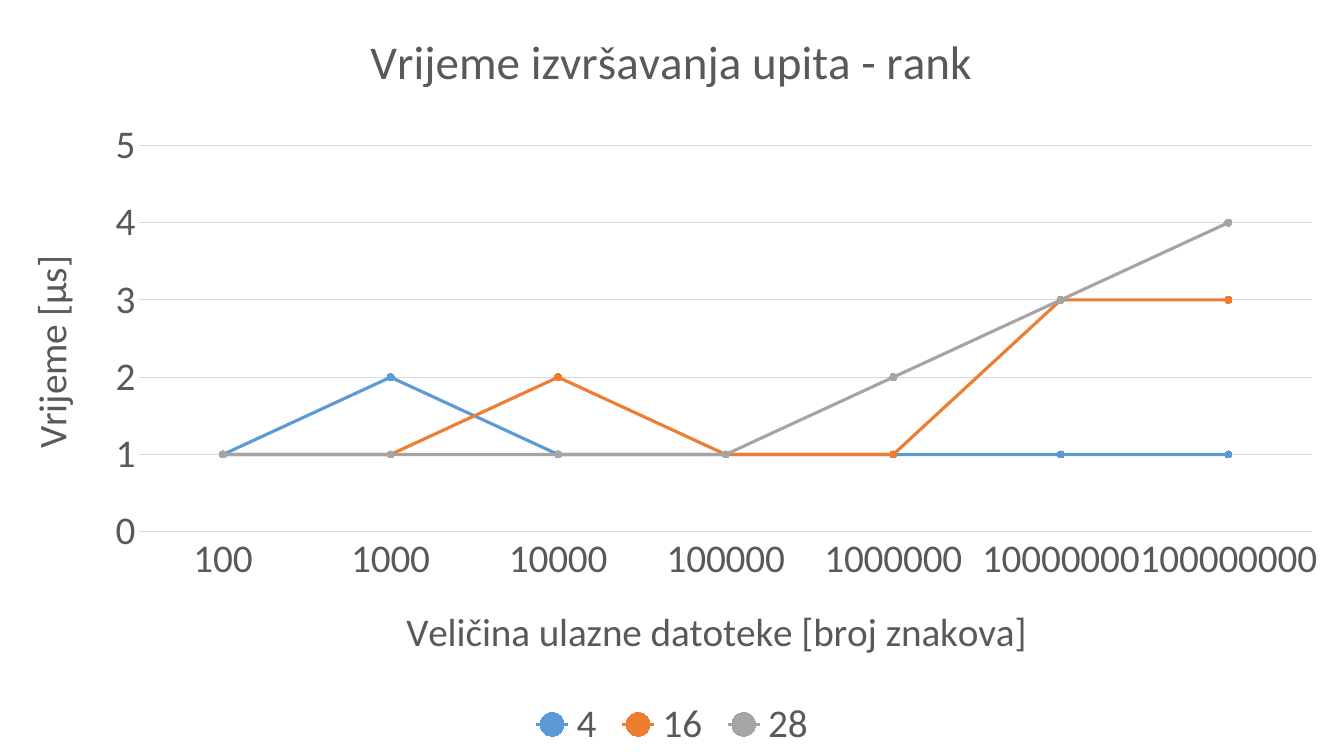
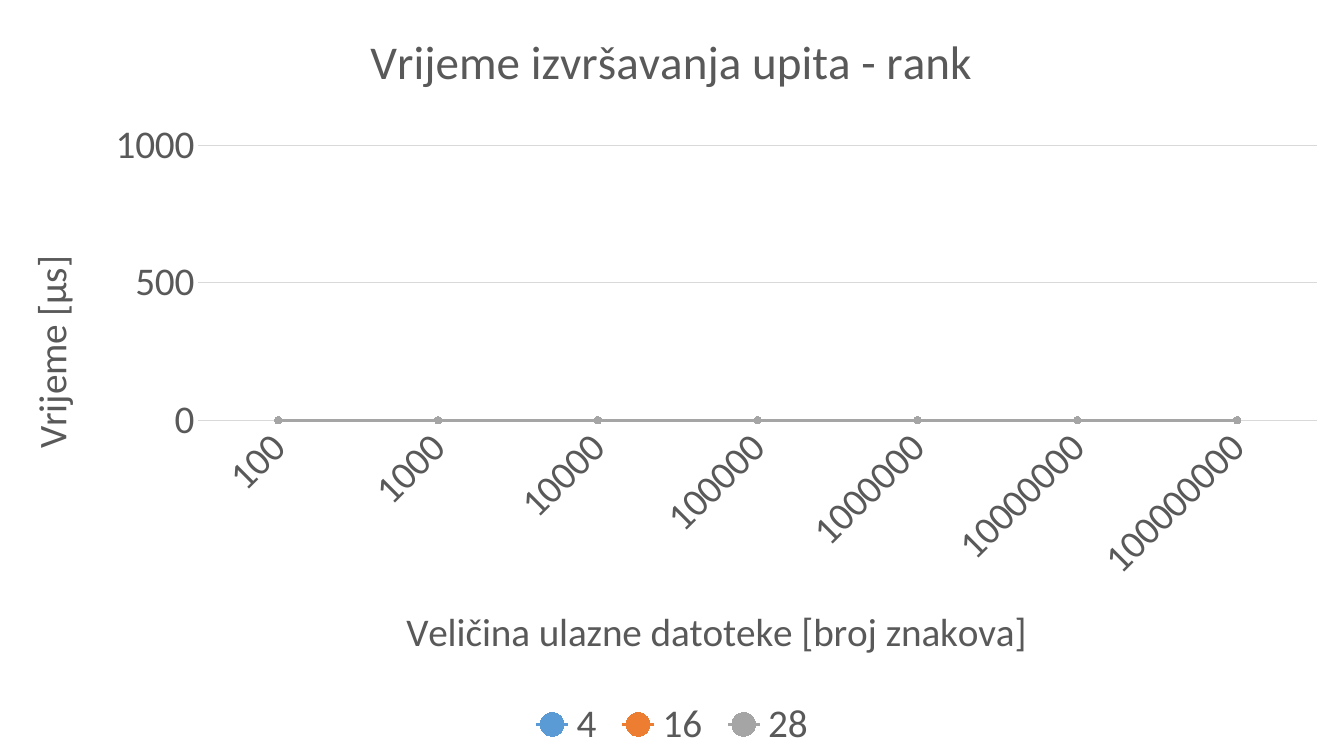
"""Build two slides that chart query time against input size."""
import dataclasses

import lxml.etree
import pptx
import pptx.chart.data
import pptx.dml.color
import pptx.enum.chart
import pptx.oxml
import pptx.oxml.ns
import pptx.util


@dataclasses.dataclass(frozen=True)
class Theme:
    font: str = "Calibri"
    text: str = "595959"
    rule: str = "D9D9D9"
    paper: str = "FFFFFF"
    series: tuple = ("5B9BD5", "ED7D31", "A5A5A5")
    backdrop: tuple = ((0, "F2F2F2"), (74, "F2F2F2"), (74, "D9D9D9"), (100, "BFBFBF"))
    title_size: float = 33.6
    label_size: float = 28
    rule_width: float = 0.75
    series_width: float = 2.25
    marker_size: int = 5


theme = Theme()
qn = pptx.oxml.ns.qn
color = pptx.dml.color.RGBColor.from_string


def format_font(font, size=theme.label_size):
    font.name = theme.font
    font.size = pptx.util.Pt(size)
    font.bold = False
    font.color.rgb = color(theme.text)


def write_text(text_frame, text, size=theme.label_size, rotation=0):
    text_frame.text = text
    format_font(text_frame.paragraphs[0].runs[0].font, size)
    body = text_frame._txBody.find(qn("a:bodyPr"))
    body.set("rot", str(rotation * 60000))
    body.set("vert", "horz")


presentation = pptx.Presentation()
presentation.slide_width = pptx.util.Inches(13.33)
presentation.slide_height = pptx.util.Inches(7.5)

master = presentation.slide_master
backdrop = master.background.fill
backdrop.gradient()
backdrop.gradient_angle = 270
stops = master.element.find(".//" + qn("a:gsLst"))
for stop in list(stops):
    stops.remove(stop)
for position, shade in theme.backdrop:
    stop = lxml.etree.SubElement(stops, qn("a:gs"), pos=str(position * 1000))
    lxml.etree.SubElement(stop, qn("a:srgbClr"), val=shade)

sizes = [str(10 ** power) for power in range(2, 9)]
names = ("4", "16", "28")
measurements = (
    {
        "rows": ((1, 2, 1, 1, 1, 1, 1), (1, 1, 2, 1, 1, 3, 3), (1, 1, 1, 1, 2, 3, 4)),
        "maximum": None,
        "step": 1,
    },
    {"rows": ((0,) * len(sizes),) * len(names), "maximum": 1000, "step": 500},
)

for measurement in measurements:
    slide = presentation.slides.add_slide(presentation.slide_layouts.get_by_name("Blank"))
    data = pptx.chart.data.CategoryChartData(number_format="0")
    data.categories = sizes
    for name, row in zip(names, measurement["rows"]):
        data.add_series(name, row)
    chart = slide.shapes.add_chart(
        pptx.enum.chart.XL_CHART_TYPE.LINE_MARKERS, 0, 0,
        presentation.slide_width, presentation.slide_height, data,
    ).chart
    format_font(chart.font)

    paper = pptx.oxml.parse_xml(
        f'<c:spPr {pptx.oxml.ns.nsdecls("c", "a")}>'
        f'<a:solidFill><a:srgbClr val="{theme.paper}"/></a:solidFill>'
        "<a:ln><a:noFill/></a:ln></c:spPr>"
    )
    chart.element.find(qn("c:chart")).addnext(paper)

    chart.has_title = True
    write_text(chart.chart_title.text_frame, "Vrijeme izvršavanja upita - rank",
               size=theme.title_size)

    chart.has_legend = True
    chart.legend.position = pptx.enum.chart.XL_LEGEND_POSITION.BOTTOM
    chart.legend.include_in_layout = False
    format_font(chart.legend.font)

    category_axis, value_axis = chart.category_axis, chart.value_axis
    for axis, text, rotation in (
        (category_axis, "Veličina ulazne datoteke [broj znakova]", 0),
        (value_axis, "Vrijeme [μs]", -90),
    ):
        write_text(axis.axis_title.text_frame, text, rotation=rotation)
        format_font(axis.tick_labels.font)
        axis.major_tick_mark = pptx.enum.chart.XL_TICK_MARK.NONE
        axis.minor_tick_mark = pptx.enum.chart.XL_TICK_MARK.NONE
    category_labels = "/".join(qn(tag) for tag in ("c:catAx", "c:txPr", "a:bodyPr"))
    body = chart.element.find(".//" + category_labels)
    body.set("rot", "-60000000")
    body.set("vert", "horz")

    value_axis.has_major_gridlines = True
    for line in (category_axis.format.line, value_axis.major_gridlines.format.line):
        line.color.rgb = color(theme.rule)
        line.width = pptx.util.Pt(theme.rule_width)
    value_axis.format.line.fill.background()
    value_axis.minimum_scale = 0
    value_axis.maximum_scale = measurement["maximum"]
    value_axis.major_unit = measurement["step"]
    value_axis.tick_labels.number_format = "0"
    value_axis.tick_labels.number_format_is_linked = False

    plot = chart.plots[0]
    plot.vary_by_categories = False
    for series, shade in zip(plot.series, theme.series):
        series.smooth = False
        series.format.line.color.rgb = color(shade)
        series.format.line.width = pptx.util.Pt(theme.series_width)
        marker = series.marker
        marker.style = pptx.enum.chart.XL_MARKER_STYLE.CIRCLE
        marker.size = theme.marker_size
        marker.format.fill.solid()
        marker.format.fill.fore_color.rgb = color(shade)
        marker.format.line.color.rgb = color(shade)

presentation.save("out.pptx")
